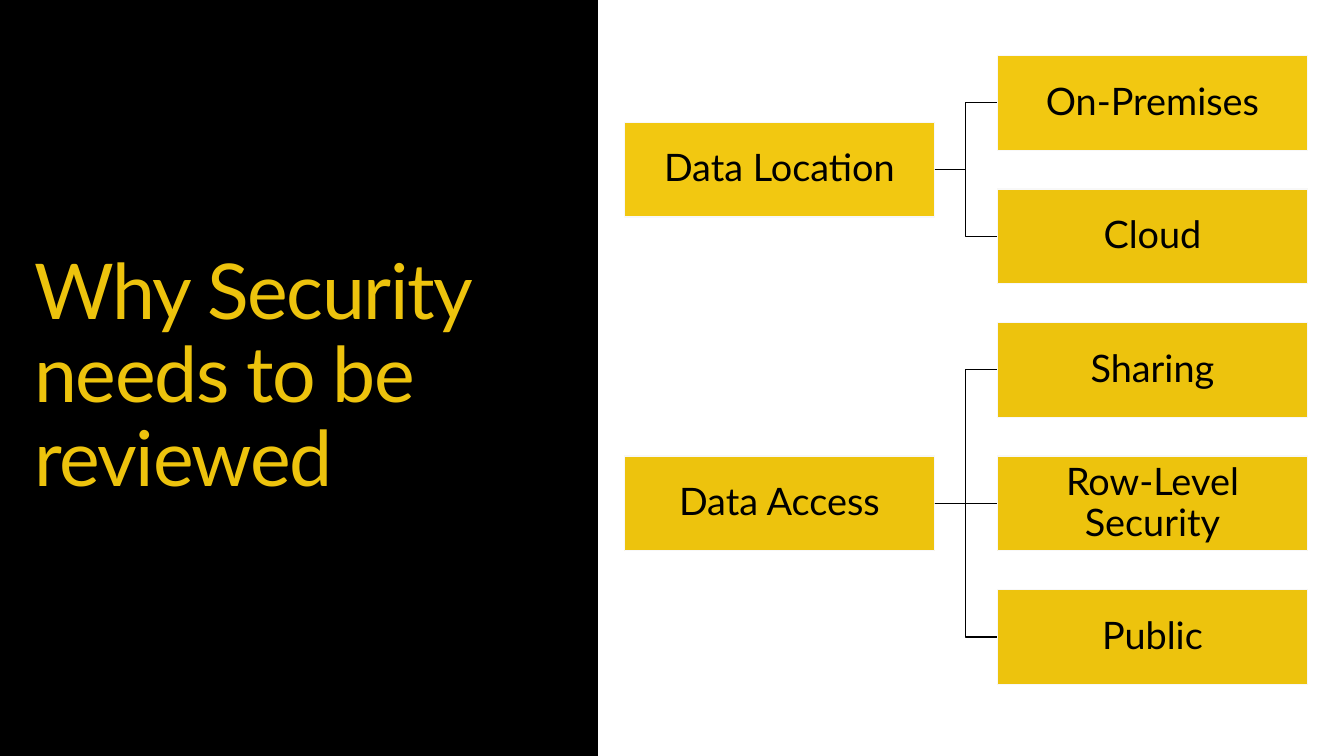
from lxml import etree
from pptx import Presentation
from pptx.dml.color import RGBColor
from pptx.enum.shapes import MSO_CONNECTOR, MSO_SHAPE
from pptx.enum.text import MSO_ANCHOR, MSO_AUTO_SIZE, PP_ALIGN
from pptx.oxml.ns import qn
from pptx.util import Inches, Pt

# Content: each topic with its colour and its branches
BLACK = RGBColor(0x00, 0x00, 0x00)
GOLD = RGBColor(0xED, 0xC3, 0x0D)
BRIGHT_GOLD = RGBColor(0xF2, 0xC8, 0x11)
PALE_GREY = RGBColor(0xF8, 0xF8, 0xF8)

TITLE = "Why Security needs to be reviewed"
TOPICS = [
    ("Data Location", BRIGHT_GOLD, [("On-Premises", BRIGHT_GOLD), ("Cloud", GOLD)]),
    ("Data Access", GOLD, [("Sharing", GOLD), ("Row-Level Security", GOLD), ("Public", GOLD)]),
]

# Layout, in inches
SLIDE_WIDTH, SLIDE_HEIGHT = 13.33, 7.5
PANEL_WIDTH = 5.93
TOPIC_LEFT, BRANCH_LEFT = 6.19, 9.89
BOX_WIDTH, BOX_HEIGHT = 3.08, 0.94
FIRST_TOP, LAST_TOP = 0.55, 5.85
ROW_STEP = (LAST_TOP - FIRST_TOP) / (sum(len(branches) for _, _, branches in TOPICS) - 1)

FONT = "Lato"
LINE_WIDTH = Pt(0.85)
LEFT_SITE, RIGHT_SITE = 1, 3
TITLE_ONLY = 5
RECTANGLE = MSO_SHAPE.RECTANGLE
STRAIGHT, ELBOW = MSO_CONNECTOR.STRAIGHT, MSO_CONNECTOR.ELBOW
MIDDLE = MSO_ANCHOR.MIDDLE
LEFT, CENTER = PP_ALIGN.LEFT, PP_ALIGN.CENTER


def write_text(shape, text, size, color, alignment, inset_x, inset_y):
    frame = shape.text_frame
    frame.word_wrap = True
    frame.auto_size = MSO_AUTO_SIZE.NONE
    frame.vertical_anchor = MIDDLE
    frame.margin_left = frame.margin_right = Inches(inset_x)
    frame.margin_top = frame.margin_bottom = Inches(inset_y)
    paragraph = frame.paragraphs[0]
    paragraph.alignment = alignment
    paragraph.line_spacing = 0.9
    run = paragraph.add_run()
    run.text = text
    run.font.name = FONT
    run.font.size = Pt(size)
    run.font.color.rgb = color
    return run


def add_rectangle(slide, left, top, width, height, fill):
    shape = slide.shapes.add_shape(
        RECTANGLE, Inches(left), Inches(top), Inches(width), Inches(height))
    shape.shadow.inherit = False
    shape.fill.solid()
    shape.fill.fore_color.rgb = fill
    shape.line.fill.background()
    return shape


def add_box(slide, left, row, text, fill):
    top = FIRST_TOP + row * ROW_STEP
    box = add_rectangle(slide, left, top, BOX_WIDTH, BOX_HEIGHT, fill)
    box.line.color.rgb = PALE_GREY
    box.line.width = LINE_WIDTH
    write_text(box, text, 27, BLACK, CENTER, 0.02, 0.02)
    return box


def connect(slide, topic_box, branch_box, kind):
    connector = slide.shapes.add_connector(kind, 0, 0, 0, 0)
    connector.begin_connect(topic_box, RIGHT_SITE)
    connector.end_connect(branch_box, LEFT_SITE)
    connector.line.color.rgb = BLACK
    connector.line.width = LINE_WIDTH
    etree.SubElement(connector._element.spPr, qn("a:effectLst"))


def main():
    presentation = Presentation()
    presentation.slide_width = Inches(SLIDE_WIDTH)
    presentation.slide_height = Inches(SLIDE_HEIGHT)
    slide = presentation.slides.add_slide(presentation.slide_layouts[TITLE_ONLY])

    # Black side panel, placed behind the title
    panel = add_rectangle(slide, 0, 0, PANEL_WIDTH, SLIDE_HEIGHT, BLACK)
    title = slide.shapes.title
    title._element.addprevious(panel._element)

    # Title
    title.left, title.top = Inches(0.18), Inches(2.46)
    title.width, title.height = Inches(5.54), Inches(2.58)
    title_run = write_text(title, TITLE, 55, GOLD, LEFT, 0.16, 0.1)
    title_run._r.get_or_add_rPr().set("spc", "-100")

    # Topic trees: each topic is centred on the rows of its branches
    first_row = 0
    for topic, topic_fill, branches in TOPICS:
        topic_row = first_row + (len(branches) - 1) / 2
        topic_box = add_box(slide, TOPIC_LEFT, topic_row, topic, topic_fill)
        for row, (branch, branch_fill) in enumerate(branches, first_row):
            branch_box = add_box(slide, BRANCH_LEFT, row, branch, branch_fill)
            connect(slide, topic_box, branch_box, STRAIGHT if row == topic_row else ELBOW)
        first_row += len(branches)

    presentation.save("out.pptx")


if __name__ == "__main__":
    main()
